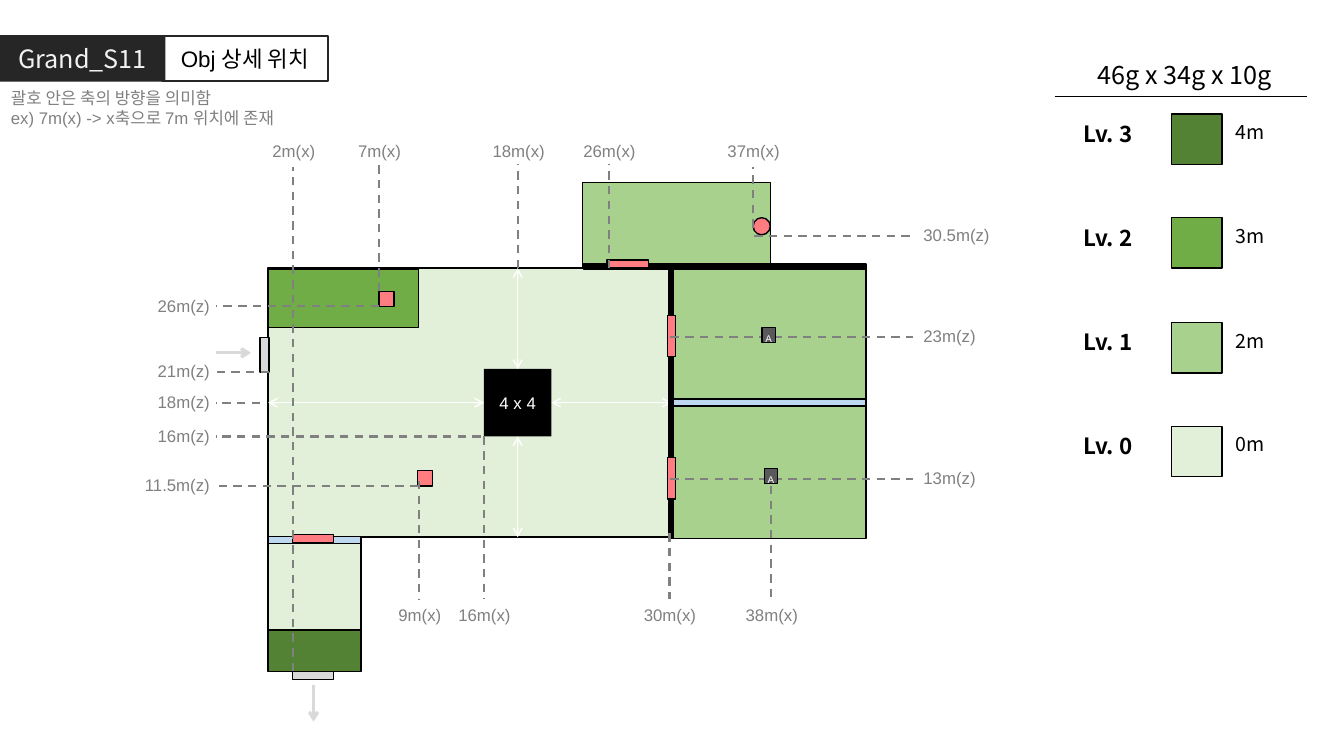
"""Build the Grand_S11 object position map slide."""
from dataclasses import dataclass

from lxml.etree import SubElement
from pptx import Presentation
from pptx.dml.color import RGBColor
from pptx.enum.dml import MSO_LINE
from pptx.enum.shapes import MSO_CONNECTOR, MSO_SHAPE
from pptx.enum.text import MSO_ANCHOR, MSO_AUTO_SIZE, PP_ALIGN
from pptx.oxml.ns import qn
from pptx.util import Pt


@dataclass(frozen=True)
class Theme:
    lv0: str = "E2F0D9"
    lv1: str = "A9D18E"
    lv2: str = "70AD47"
    lv3: str = "548235"
    black: str = "000000"
    white: str = "FFFFFF"
    title: str = "262626"
    title_text: str = "F2F2F2"
    guide: str = "808080"
    gate: str = "D9D9D9"
    obj: str = "FF7C80"
    window: str = "BDD7EE"
    badge: str = "595959"
    head_font: str = "Noto Sans CJK KR"
    body_font: str = "Arial"
    head_size: int = 18
    sub_size: int = 16
    level_size: int = 14
    label_size: int = 12
    badge_size: int = 7


T = Theme()
PX = 9144
SLIDE_W, SLIDE_H = 1333, 750
LEFT, CENTER, RIGHT = PP_ALIGN.LEFT, PP_ALIGN.CENTER, PP_ALIGN.RIGHT

NOTES = ["괄호 안은 축의 방향을 의미함", "ex) 7m(x) -> x축으로 7m 위치에 존재"]
LEVELS = [("Lv. 3", "4m", T.lv3), ("Lv. 2", "3m", T.lv2),
          ("Lv. 1", "2m", T.lv1), ("Lv. 0", "0m", T.lv0)]
ROOMS = {
    "annex": ((578, 181, 186, 85), T.lv1),
    "hall": ((266, 266, 400, 267), T.lv0),
    "north": ((666, 266, 193, 134), T.lv1),
    "alcove": ((266, 267, 149, 58), T.lv2),
    "south": ((666, 400, 193, 134), T.lv1),
    "porch": ((266, 533, 92, 92), T.lv0),
    "step": ((266, 625, 92, 41), T.lv3),
}
BLOCK = (480, 366, 67, 67)
FIXTURES = [
    ((414, 467, 15, 15), T.obj), ((376, 289, 15, 15), T.obj),
    ((579, 262, 280, 5), T.black), ((666, 396, 193, 7), T.window),
    ((602, 258, 41, 8), T.obj), ((258, 335, 9, 34), T.gate),
    ((290, 666, 41, 8), T.gate), ((266, 532, 92, 7), T.window),
    ((290, 530, 41, 8), T.obj), ((663, 267, 5, 267), T.black),
    ((662, 313, 8, 41), T.obj), ((662, 454, 8, 41), T.obj),
]
STATUE = (747, 216, 17, 17)
BADGES = [(756, 325, 13, 15), (758, 465, 13, 15)]
GATE_ARROWS = [(214, 350, 249, 350), (311, 680, 311, 716)]
TOP_GUIDES = [("2m(x)", 291, 666, 166), ("7m(x)", 376, 289, 163),
              ("18m(x)", 514, 266, 163), ("26m(x)", 604, 266, 163),
              ("37m(x)", 747, 226, 166)]
BOTTOM_GUIDES = [("9m(x)", 416, 477, 594), ("16m(x)", 480, 433, 594),
                 ("30m(x)", 664, 529, 594), ("38m(x)", 765, 482, 594)]
LEFT_GUIDES = [("26m(z)", 304, 376), ("21m(z)", 369, 267), ("18m(z)", 400, 258),
               ("16m(z)", 433, 477), ("11.5m(z)", 482, 415)]
RIGHT_GUIDES = [("30.5m(z)", 234, 748), ("23m(z)", 334, 665), ("13m(z)", 475, 665)]

prs = Presentation()
prs.slide_width, prs.slide_height = SLIDE_W * PX, SLIDE_H * PX
s = prs.slides.add_slide(prs.slide_layouts[6])


def emu(*lengths):
    return [round(v * PX) for v in lengths]


def assign(target, values):
    for name, value in values.items():
        setattr(target, name, value)


def write(sp, lines, size, color, font=T.body_font, align=CENTER, bold=False,
          side=10, anchor=MSO_ANCHOR.MIDDLE):
    tf = sp.text_frame
    assign(tf, {"word_wrap": True, "vertical_anchor": anchor,
                "margin_left": side * PX, "margin_right": side * PX,
                "margin_top": 5 * PX, "margin_bottom": 5 * PX})
    for i, line in enumerate(lines):
        p = tf.add_paragraph() if i else tf.paragraphs[0]
        p.alignment = align
        r = p.add_run()
        r.text = line
        assign(r.font, {"name": font, "size": Pt(size), "bold": bold})
        r.font.color.rgb = RGBColor.from_string(color)


def text(box, lines, size, color, **style):
    sp = s.shapes.add_textbox(*emu(*box))
    write(sp, lines, size, color, anchor=MSO_ANCHOR.TOP, **style)
    sp.text_frame.auto_size = MSO_AUTO_SIZE.SHAPE_TO_FIT_TEXT


def shape(box, fill=None, line=T.black, width=1, kind=MSO_SHAPE.RECTANGLE):
    sp = s.shapes.add_shape(kind, *emu(*box))
    sp.shadow.inherit = False
    for part, color in ((sp.fill, fill), (sp.line.fill, line)):
        if color:
            part.solid()
            part.fore_color.rgb = RGBColor.from_string(color)
        else:
            part.background()
    if line:
        sp.line.width = Pt(width)
    return sp


def connect(ends, color, width, dash=None, arrows=()):
    c = s.shapes.add_connector(MSO_CONNECTOR.STRAIGHT, *emu(*ends))
    c.line.color.rgb = RGBColor.from_string(color)
    assign(c.line, {"width": Pt(width), "dash_style": dash})
    for end in arrows:
        SubElement(c.line._get_or_add_ln(), qn(f"a:{end}"), type="arrow")
    SubElement(c._element.spPr, qn("a:effectLst"))
    return c


def guide(label, ends, box, align, side=10):
    connect(ends, T.guide, 1.5, MSO_LINE.DASH)
    text(box, [label], T.label_size, T.guide, align=align, side=side)


def draw_header():
    write(shape((0, 35, 164, 46), T.title, None), ["Grand_S11"], T.head_size,
          T.title_text, font=T.head_font)
    write(shape((161, 36, 164, 44), None, T.title, 1.5), ["Obj 상세 위치"],
          T.sub_size, T.black)
    text((1, 82, 316, 50), NOTES, T.label_size, T.guide, align=LEFT)


def draw_legend():
    connect((1046, 96, 1296, 96), T.black, 1)
    text((1065, 54, 220, 40), ["46g x 34g x 10g"], T.head_size, T.black, font=T.head_font)
    for i, (level, height, color) in enumerate(LEVELS):
        y = 113 + round(i * 310 / 3)
        shape((1162, y, 50, 50), color)
        text((1216, y + 1, 71, 33), [height], T.level_size, T.black,
             font=T.head_font, align=LEFT)
        text((1065, y + 1, 107, 36), [level], T.sub_size, T.black,
             font=T.head_font, align=LEFT, bold=True)


def draw_map():
    rooms = {name: shape(box, fill) for name, (box, fill) in ROOMS.items()}
    block = shape(BLOCK, T.black, None)
    write(block, ["4 x 4"], T.label_size, T.white, side=0)
    hall = rooms["hall"]
    x, y, w, h = BLOCK
    mid_x, mid_y = x + w / 2, y + h / 2
    spans = [((mid_x, 266, mid_x, y), None, (block, 0)),
             ((mid_x, y + h, mid_x, 533), (block, 2), None),
             ((266, mid_y, x, mid_y), (hall, 1), (block, 1)),
             ((x + w, mid_y, 666, mid_y), (block, 3), (hall, 3))]
    for ends, begin, end in spans:
        c = connect(ends, T.white, 1, arrows=("headEnd", "tailEnd"))
        if begin:
            c.begin_connect(*begin)
        if end:
            c.end_connect(*end)
    for box, fill in FIXTURES:
        shape(box, fill)
    shape(STATUE, T.obj, kind=MSO_SHAPE.OVAL)
    for ends in GATE_ARROWS:
        connect(ends, T.gate, 2.25, arrows=("tailEnd",))


def draw_guides():
    for guides, label_y in ((TOP_GUIDES, 135), (BOTTOM_GUIDES, 595)):
        for label, x, start, end in guides:
            guide(label, (x, start, x, end), (x - 36, label_y, 73, 30), CENTER, side=0)
    for guides, end, label_x, align in ((LEFT_GUIDES, 214, 83, RIGHT),
                                        (RIGHT_GUIDES, 906, 906, LEFT)):
        for label, y, start in guides:
            guide(label, (start, y, end, y), (label_x, y - 16, 135, 30), align)
    for box in BADGES:
        write(shape(box, T.badge), ["A"], T.badge_size, T.white, side=0,
              anchor=MSO_ANCHOR.TOP)


def main():
    draw_header()
    draw_legend()
    draw_map()
    draw_guides()
    prs.save("out.pptx")


if __name__ == "__main__":
    main()
